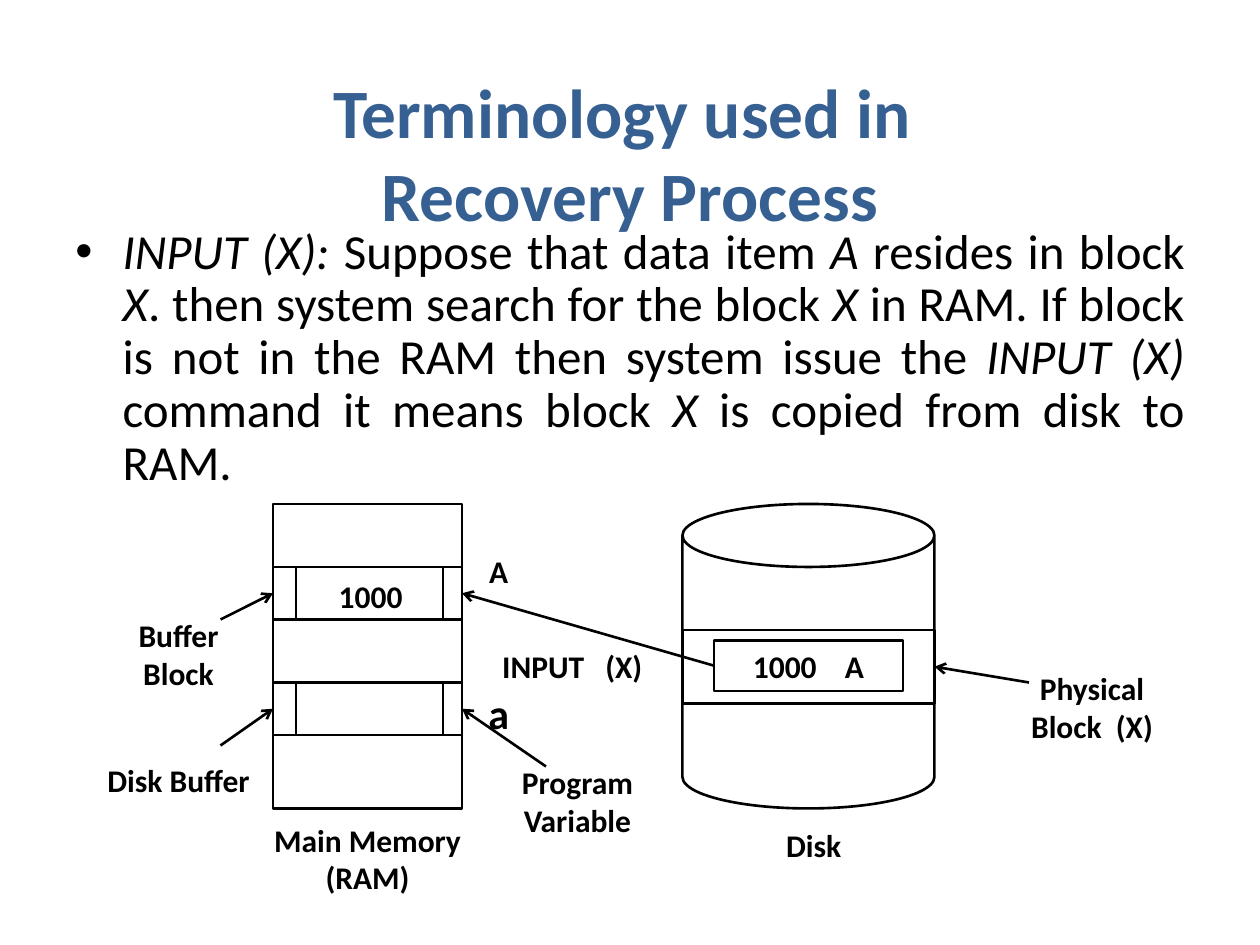
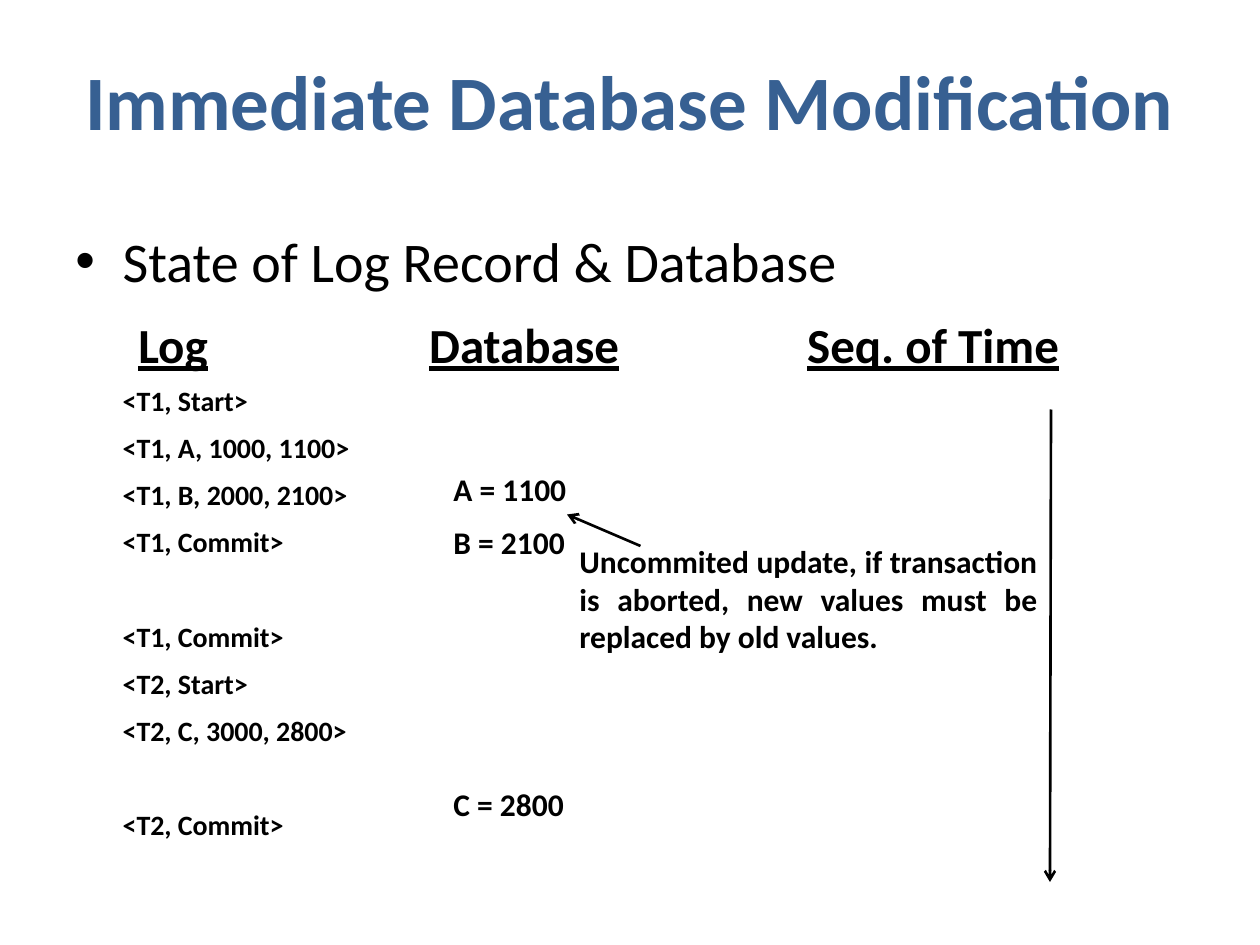
from dataclasses import dataclass

from lxml.etree import SubElement
from pptx import Presentation
from pptx.dml.color import RGBColor
from pptx.enum.shapes import MSO_CONNECTOR, MSO_SHAPE as Form
from pptx.enum.text import MSO_ANCHOR as Anchor, PP_ALIGN as Align
from pptx.oxml.ns import qn
from pptx.util import Emu, Pt

EMU_PER_PX = 7620
FONT = "Calibri"
COLORS = {"title": "376092", "ink": "000000"}
LINE_WIDTH = Pt(1.5)
LABEL_SIZE = 18
LOG_SIZE = 16
LOG_GAP = 7.7
SKIPPED_ROW = 27.2


@dataclass(frozen=True)
class Box:
    """Place and size in px."""
    left: int
    top: int
    width: int
    height: int


@dataclass(frozen=True)
class Label:
    """Bold text; extra widens its last space, in points."""
    text: str
    box: Box
    size: int = LABEL_SIZE
    extra: int = 0
    align: Align = Align.CENTER
    anchor: Anchor = Anchor.MIDDLE


@dataclass(frozen=True)
class Line:
    """Body paragraph; its phrases alternate italic and upright when several."""
    phrases: tuple
    size: float
    before: float = 0
    margin: int = 45
    indent: int = 0
    bullet: bool = False
    heading: bool = False
    bold: bool = False
    spacing: float = 1.0


@dataclass(frozen=True)
class Arrow:
    """Arrow between two points, with the shape and side each end joins."""
    start: tuple
    end: tuple
    source: tuple | None = None
    target: tuple | None = None


def px(length: int) -> Emu:
    """Turn px into EMU."""
    return Emu(length * EMU_PER_PX)


def frame(box: Box) -> tuple:
    """Give the four lengths of a box in EMU."""
    return px(box.left), px(box.top), px(box.width), px(box.height)


def set_font(font, size: float, color: str = "ink", bold: bool = False) -> None:
    """Set the shared face with its size, colour and weight."""
    font.name = FONT
    font.size = Pt(size)
    font.bold = bold
    font.color.rgb = RGBColor.from_string(COLORS[color])


def add_text_frame(slide, box: Box, anchor: Anchor = Anchor.TOP):
    """Add a wrapping text box and return its text frame."""
    text_frame = slide.shapes.add_textbox(*frame(box)).text_frame
    text_frame.word_wrap = True
    text_frame.vertical_anchor = anchor
    return text_frame


def add_title(slide, text: str, box: Box, size: float) -> None:
    """Add the slide title."""
    heading = add_text_frame(slide, box, Anchor.MIDDLE).paragraphs[0]
    heading.text = text
    heading.alignment = Align.CENTER
    set_font(heading.font, size, "title", True)


def add_body(slide, lines: list, box: Box) -> None:
    """Add the justified body text."""
    text_frame = add_text_frame(slide, box)
    for number, line in enumerate(lines):
        paragraph = text_frame.add_paragraph() if number else text_frame.paragraphs[0]
        properties = paragraph._p.get_or_add_pPr()
        properties.set("marL", str(px(line.margin)))
        properties.set("indent", str(px(line.indent)))
        properties.set("defTabSz", str(px(120)))
        if line.bullet:
            SubElement(properties, qn("a:buFont")).set("typeface", "Arial")
            SubElement(properties, qn("a:buChar")).set("char", "•")
        paragraph.alignment = Align.JUSTIFY
        paragraph.space_before = Pt(line.before)
        paragraph.line_spacing = line.spacing
        set_font(paragraph.font, line.size, bold=line.bold)
        if line.heading:
            paragraph.font.underline = True
        for position, phrase in enumerate(line.phrases):
            run = paragraph.add_run()
            run.text = phrase
            if len(line.phrases) > 1:
                run.font.italic = position % 2 == 0


def fill_label(paragraph, label: Label) -> None:
    """Write the label into a paragraph."""
    paragraph.alignment = label.align
    set_font(paragraph.font, label.size, bold=True)
    if not label.extra:
        paragraph.text = label.text
        return
    for piece in label.text.rpartition(" "):
        run = paragraph.add_run()
        run.text = piece
        if piece == " ":
            run._r.get_or_add_rPr().set("spc", str(label.extra * 100))


def add_label(slide, label: Label) -> None:
    """Add a free-standing label."""
    fill_label(add_text_frame(slide, label.box, label.anchor).paragraphs[0], label)


def add_outline(slide, box: Box, form: Form = Form.RECTANGLE):
    """Add an unfilled outlined shape."""
    shape = slide.shapes.add_shape(form, *frame(box))
    shape.shadow.inherit = False
    shape.fill.background()
    shape.line.color.rgb = RGBColor.from_string(COLORS["ink"])
    shape.line.width = LINE_WIDTH
    return shape


def add_arrow(slide, arrow: Arrow) -> None:
    """Add an arrow with an open head at its end."""
    points = [px(length) for length in arrow.start + arrow.end]
    connector = slide.shapes.add_connector(MSO_CONNECTOR.STRAIGHT, *points)
    connector.line.color.rgb = RGBColor.from_string(COLORS["ink"])
    connector.line.width = LINE_WIDTH
    SubElement(connector.line._get_or_add_ln(), qn("a:tailEnd")).set("type", "arrow")
    SubElement(connector._element.spPr, qn("a:effectLst"))
    if arrow.source:
        connector.begin_connect(*arrow.source)
    if arrow.target:
        connector.end_connect(*arrow.target)


def build_terminology(slide) -> None:
    """Show a block being read from disk into memory."""
    add_title(slide, "Terminology used in \vRecovery Process", Box(60, 120, 1080, 50), 39.6)
    definition = (
        "INPUT (X):", " Suppose that data item ", "A", " resides in block ", "X",
        ". then system search for the block ", "X",
        " in RAM. If block is not in the RAM then system issue the ", "INPUT (X)",
        " command it means block ", "X", " is copied from disk to RAM.",
    )
    add_body(
        slide,
        [Line(definition, 28, 1.5, indent=-45, bullet=True, spacing=0.9)],
        Box(60, 210, 1080, 270),
    )

    add_outline(slide, Box(260, 480, 180, 290))
    buffer_block, disk_buffer = [
        add_outline(slide, Box(260, top, 180, 50)) for top in (540, 650)
    ]
    for top in (540, 650):
        add_outline(slide, Box(282, top, 140, 50))
    add_outline(slide, Box(650, 480, 240, 290), Form.CAN)
    physical_block = add_outline(slide, Box(650, 600, 240, 70))
    item = Label("1000 A", Box(680, 610, 180, 48), extra=12)
    stored_item = add_outline(slide, item.box)
    stored_item.text_frame.vertical_anchor = item.anchor
    fill_label(stored_item.text_frame.paragraphs[0], item)

    for arrow in (
        Arrow((980, 650), (890, 635), target=(physical_block, 3)),
        Arrow((680, 634), (440, 565), (stored_item, 1), (buffer_block, 3)),
        Arrow((520, 730), (440, 675), target=(disk_buffer, 3)),
        Arrow((210, 710), (260, 675), target=(disk_buffer, 1)),
        Arrow((210, 590), (260, 565), target=(buffer_block, 1)),
    ):
        add_arrow(slide, arrow)

    for label in (
        Label("Main Memory (RAM)", Box(240, 775, 220, 85)),
        Label("Physical Block (X)", Box(960, 631, 160, 85), extra=4),
        Label("1000", Box(288, 544, 130, 48)),
        Label("INPUT (X)", Box(450, 610, 190, 48), extra=8),
        Label("A", Box(450, 520, 50, 48)),
        Label("Disk", Box(710, 781, 130, 48)),
        Label("a", Box(450, 648, 50, 61), 24),
        Label("Program Variable", Box(470, 720, 160, 85)),
        Label("Disk Buffer", Box(90, 700, 160, 85)),
        Label("Buffer Block", Box(90, 580, 160, 85)),
    ):
        add_label(slide, label)


def build_modification(slide) -> None:
    """Show the log beside the database over time."""
    add_title(slide, "Immediate Database Modification", Box(60, 20, 1080, 150), 44)
    log = (
        ("<T1, Start>", 5.5),
        ("<T1, A, 1000, 1100>", LOG_GAP),
        ("<T1, B, 2000, 2100>", LOG_GAP),
        ("<T1, Commit>", LOG_GAP),
        ("<T1, Commit>", LOG_GAP + SKIPPED_ROW),
        ("<T2, Start>", LOG_GAP),
        ("<T2, C, 3000, 2800>", LOG_GAP),
        ("<T2, Commit>", LOG_GAP + SKIPPED_ROW),
    )
    lines = [
        Line(("State of Log Record & Database",), 32, 2, indent=-45, bullet=True),
        Line(("Log\t\tDatabase\t\tSeq. of Time",), 28, 12, 97, -37, heading=True, bold=True),
    ]
    lines += [Line((record,), LOG_SIZE, before, bold=True) for record, before in log]
    add_body(slide, lines, Box(60, 210, 1080, 650))

    add_arrow(slide, Arrow((1001, 390), (1000, 840)))
    add_arrow(slide, Arrow((610, 520), (540, 490)))
    remark = (
        "Uncommited update, if transaction is aborted, "
        "new values must be replaced by old values."
    )
    notes = [(remark, Box(540, 510, 460, 121))]
    values = (("A = 1100", 442), ("B = 2100", 492), ("C = 2800", 742))
    notes += [(value, Box(420, top, 140, 48)) for value, top in values]
    for text, box in notes:
        add_label(slide, Label(text, box, align=Align.JUSTIFY, anchor=Anchor.TOP))


def main() -> None:
    """Build both slides and save them."""
    deck = Presentation()
    deck.slide_width, deck.slide_height = px(1200), px(900)
    blank = deck.slide_layouts[6]
    for build in (build_terminology, build_modification):
        build(deck.slides.add_slide(blank))
    deck.save("out.pptx")


if __name__ == "__main__":
    main()
